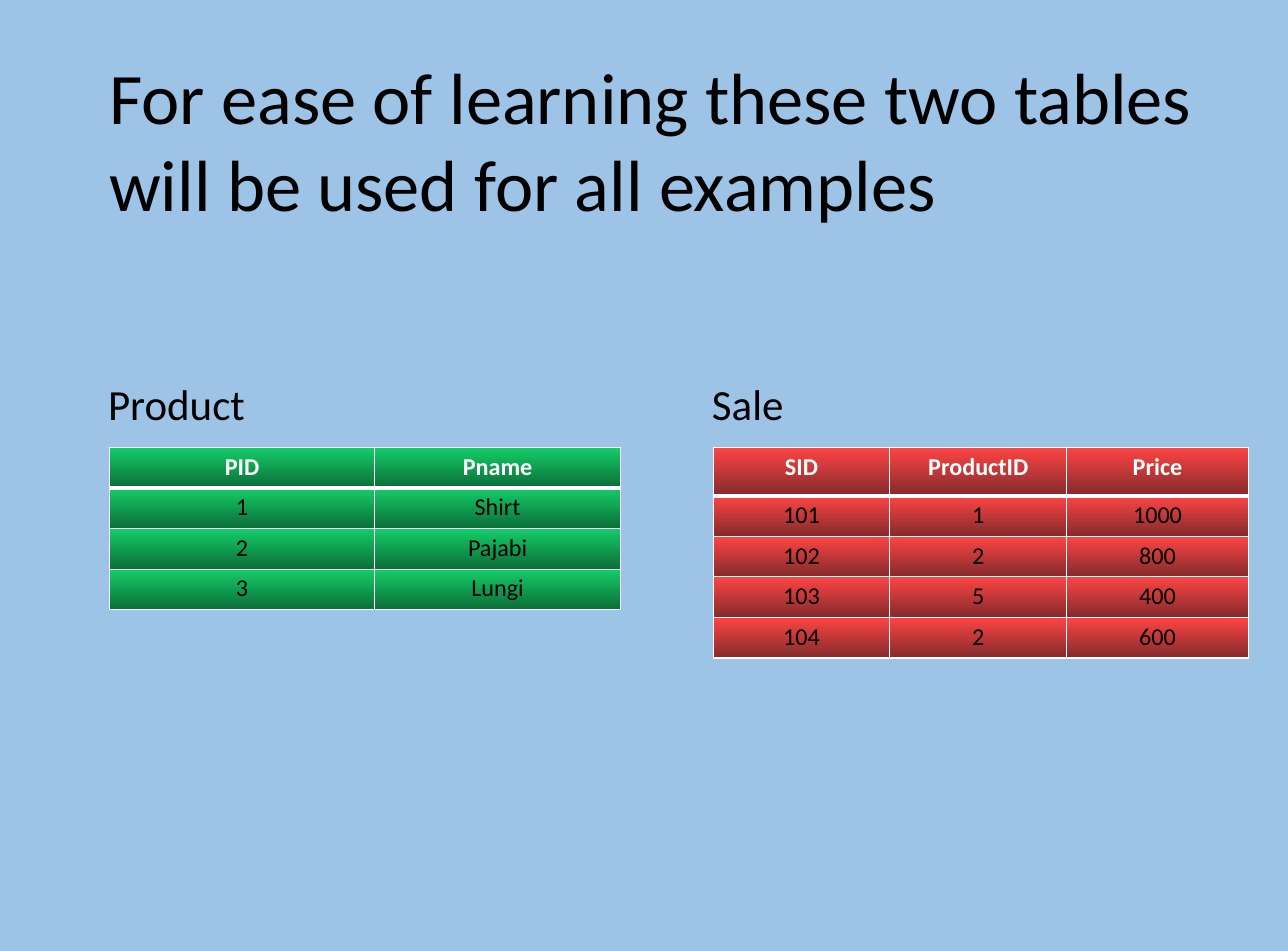
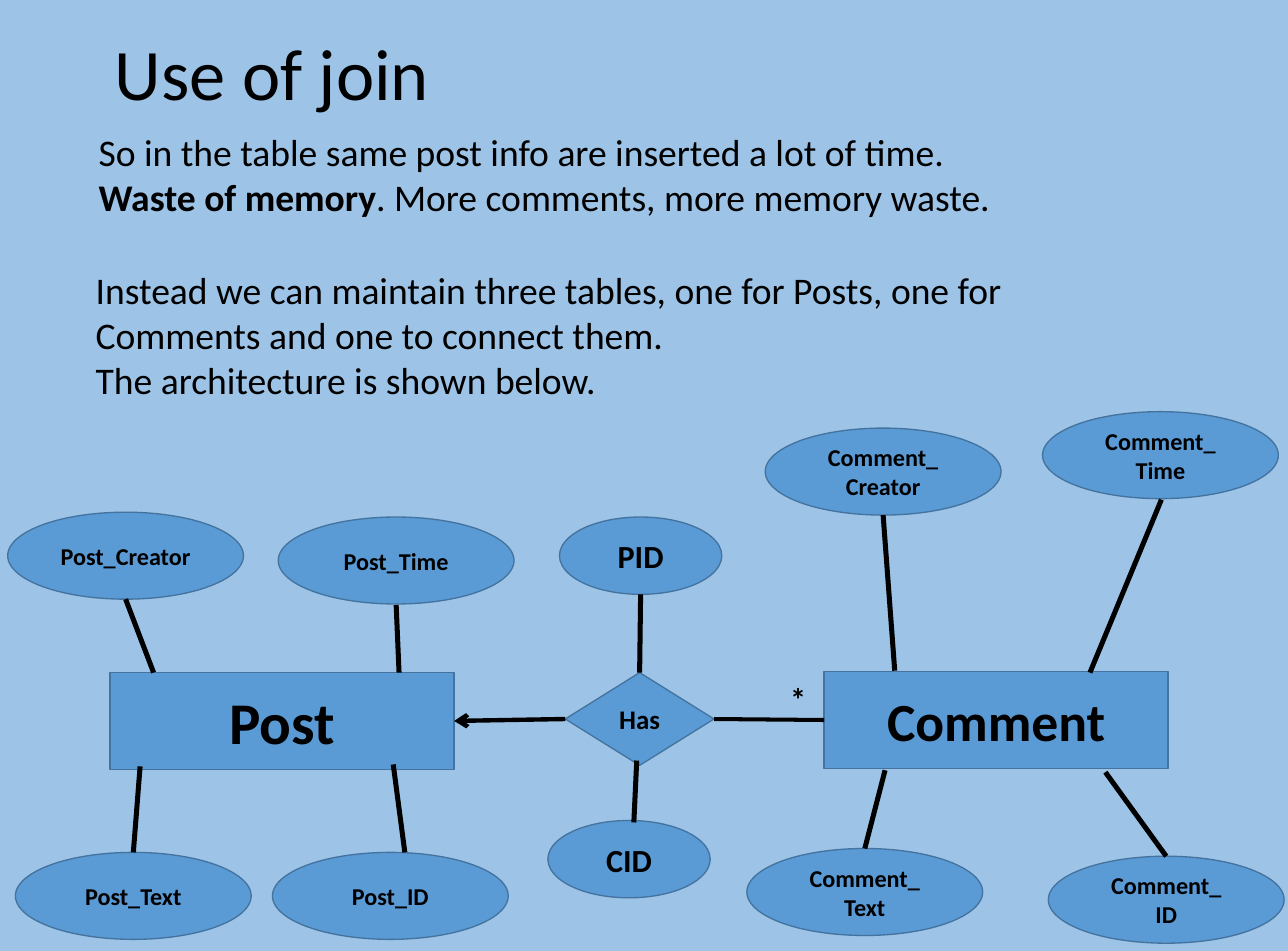
from dataclasses import dataclass
from typing import Optional

from lxml import etree
from pptx import Presentation
from pptx import util as u
from pptx.dml import color as dml
from pptx.enum import shapes, text
from pptx.oxml import ns

EMU_PER_PX = 9144
FONT = "Calibri"
BACKGROUND, BLACK, WHITE = "9DC3E6", "000000", "FFFFFF"
NODE_FILL, NODE_LINE = "5B9BD5", "43739E"
TITLE_SIZE = 54
LEFT, CENTER = text.PP_ALIGN.LEFT, text.PP_ALIGN.CENTER
RECTANGLE = shapes.MSO_SHAPE.RECTANGLE
DIAMOND = shapes.MSO_SHAPE.DIAMOND
OVAL = shapes.MSO_SHAPE.OVAL
TOP, LEFT_SIDE, RIGHT_SIDE = 0, 1, 3


@dataclass(frozen=True)
class Box:
    left: int
    top: int
    width: int
    height: int


@dataclass(frozen=True)
class Line:
    text: str
    bold_lead: str = ""


@dataclass(frozen=True)
class DataTable:
    name: str
    name_box: Box
    left: int
    columns: tuple[int, ...]
    header_height: int
    gradient: tuple[str, str]
    rows: tuple[tuple[str, ...], ...]


@dataclass(frozen=True)
class Node:
    label: str
    box: Box
    size: int = 18
    kind: shapes.MSO_SHAPE = OVAL


@dataclass(frozen=True)
class Link:
    start: tuple[int, int]
    end: tuple[int, int]
    width: float = 3.75
    arrow: bool = False
    start_joint: Optional[tuple[str, int]] = None
    end_joint: Optional[tuple[str, int]] = None


TABLE_TOP, ROW_HEIGHT = 463, 42
TABLES = (
    DataTable("Product", Box(102, 386, 348, 64), 113, (275, 254), 42, ("14CD68", "0B6E38"),
              (("PID", "Pname"), ("1", "Shirt"), ("2", "Pajabi"), ("3", "Lungi"))),
    DataTable("Sale", Box(727, 386, 408, 64), 738, (183, 183, 188), 50, ("FE4444", "832B2B"),
              (("SID", "ProductID", "Price"), ("101", "1", "1000"), ("102", "2", "800"),
               ("103", "5", "400"), ("104", "2", "600"))),
)

BODIES = (
    (Box(92, 128, 1161, 104), (
        Line("So in the table same post info are inserted a lot of time."),
        Line(". More comments, more memory waste.", "Waste of memory"))),
    (Box(89, 271, 1123, 150), (
        Line("Instead we can maintain three tables, one for Posts, one for Comments "
             "and one to connect them."),
        Line("The architecture is shown below."))),
)


def attribute(label: str, left: int, top: int) -> Node:
    return Node(label, Box(left, top, 244, 90))


def key(label: str, left: int, top: int) -> Node:
    return Node(label, Box(left, top, 168, 80), 24)


def entity(label: str, left: int, top: int, size: int) -> Node:
    return Node(label, Box(left, top, 356, 100), size, RECTANGLE)


NODES = (
    entity("Post", 114, 696, 44),
    entity("Comment", 853, 695, 40),
    Node("Has", Box(585, 696, 154, 96), 20, DIAMOND),
    key("PID", 579, 535),
    key("CID", 567, 849),
    attribute("Post_Creator", 8, 530),
    attribute("Post_Time", 288, 535),
    attribute("Post_Text", 16, 882),
    attribute("Post_ID", 282, 882),
    attribute("Comment_\nCreator", 792, 443),
    attribute("Comment_\nTime", 1079, 426),
    attribute("Comment_\nText", 773, 878),
    attribute("Comment_\nID", 1085, 886),
)

LINKS = (
    Link((159, 696), (130, 620)),
    Link((413, 696), (410, 626)),
    Link((138, 882), (145, 793), start_joint=("Post_Text", TOP)),
    Link((419, 882), (407, 791)),
    Link((662, 696), (663, 615), start_joint=("Has", TOP)),
    Link((656, 851), (659, 787)),
    Link((926, 694), (914, 533)),
    Link((1128, 696), (1202, 517)),
    Link((1208, 886), (1144, 799), start_joint=("Comment_\nID", TOP)),
    Link((895, 878), (916, 797), start_joint=("Comment_\nText", TOP)),
    Link((585, 744), (470, 746), 3.25, True, ("Has", LEFT_SIDE), ("Post", RIGHT_SIDE)),
    Link((739, 744), (853, 745), 3, False, ("Has", RIGHT_SIDE), ("Comment", LEFT_SIDE)),
)


def px(length: int) -> u.Emu:
    return u.Emu(length * EMU_PER_PX)


def rgb(value: str) -> dml.RGBColor:
    return dml.RGBColor.from_string(value)


def edges(box: Box) -> tuple[u.Emu, ...]:
    return px(box.left), px(box.top), px(box.width), px(box.height)


def place(shape, box: Box) -> None:
    shape.left, shape.top, shape.width, shape.height = edges(box)


def format_paragraph(paragraph, size: int, align=LEFT, bold: bool = False,
                     color: str = BLACK) -> None:
    paragraph.alignment = align
    font = paragraph.font
    font.name, font.size, font.bold = FONT, u.Pt(size), bold
    font.color.rgb = rgb(color)


def set_title(slide, title: str, box: Box, align=LEFT) -> None:
    shape = slide.shapes.title
    place(shape, box)
    frame = shape.text_frame
    frame.text = title
    frame.word_wrap = True
    frame.auto_size = text.MSO_AUTO_SIZE.NONE
    frame.vertical_anchor = text.MSO_ANCHOR.TOP
    format_paragraph(frame.paragraphs[0], TITLE_SIZE, align)


def set_body(shape, box: Box, lines: tuple[Line, ...]) -> None:
    place(shape, box)
    frame = shape.text_frame
    frame.auto_size = text.MSO_AUTO_SIZE.NONE
    for index, line in enumerate(lines):
        paragraph = frame.add_paragraph() if index else frame.paragraphs[0]
        properties = paragraph._p.get_or_add_pPr()
        properties.set("marL", "0")
        properties.set("indent", "0")
        etree.SubElement(properties, ns.qn("a:buNone"))
        paragraph.space_before = u.Pt(0)
        format_paragraph(paragraph, 28)
        if line.bold_lead:
            lead = paragraph.add_run()
            lead.text = line.bold_lead
            lead.font.bold = True
        paragraph.add_run().text = line.text


def add_label(slide, label: str, box: Box, size: int, align=LEFT, bold: bool = False,
              wrap: bool = True) -> None:
    frame = slide.shapes.add_textbox(*edges(box)).text_frame
    frame.word_wrap = wrap
    frame.text = label
    format_paragraph(frame.paragraphs[0], size, align, bold)


def set_borders(cell, row: int) -> None:
    properties = cell._tc.get_or_add_tcPr()
    widths = {"lnL": 1, "lnR": 1, "lnT": 3 if row == 1 else 1, "lnB": 3 if row == 0 else 1}
    for position, (tag, width) in enumerate(widths.items()):
        border = etree.Element(ns.qn(f"a:{tag}"), w=str(u.Pt(width)))
        fill = etree.SubElement(border, ns.qn("a:solidFill"))
        etree.SubElement(fill, ns.qn("a:srgbClr"), val=WHITE)
        properties.insert(position, border)


def add_data_table(slide, data: DataTable) -> None:
    heights = [data.header_height] + [ROW_HEIGHT] * (len(data.rows) - 1)
    box = Box(data.left, TABLE_TOP, sum(data.columns), sum(heights))
    table = slide.shapes.add_table(len(data.rows), len(data.columns), *edges(box)).table
    table.first_row = table.horz_banding = False
    for column, width in zip(table.columns, data.columns):
        column.width = px(width)
    for row, (height, values) in enumerate(zip(heights, data.rows)):
        table.rows[row].height = px(height)
        for column, value in enumerate(values):
            cell = table.cell(row, column)
            cell.text = value
            format_paragraph(cell.text_frame.paragraphs[0], 18, CENTER, row == 0,
                             BLACK if row else WHITE)
            cell.fill.gradient()
            cell.fill.gradient_angle = 270
            for stop, color in zip(cell.fill.gradient_stops, data.gradient):
                stop.color.rgb = rgb(color)
            set_borders(cell, row)
    add_label(slide, data.name, data.name_box, 32)


def add_node(slide, node: Node):
    shape = slide.shapes.add_shape(node.kind, *edges(node.box))
    shape.shadow.inherit = False
    shape.fill.solid()
    shape.fill.fore_color.rgb = rgb(NODE_FILL)
    shape.line.color.rgb = rgb(NODE_LINE)
    shape.line.width = u.Pt(1)
    frame = shape.text_frame
    frame.word_wrap = True
    frame.vertical_anchor = text.MSO_ANCHOR.MIDDLE
    frame.text = node.label
    for paragraph in frame.paragraphs:
        format_paragraph(paragraph, node.size, CENTER, True)
    return shape


def add_link(slide, link: Link, nodes: dict) -> None:
    connector = slide.shapes.add_connector(
        shapes.MSO_CONNECTOR.STRAIGHT, *map(px, link.start + link.end))
    if link.start_joint:
        label, side = link.start_joint
        connector.begin_connect(nodes[label], side)
    if link.end_joint:
        label, side = link.end_joint
        connector.end_connect(nodes[label], side)
    connector.line.color.rgb = rgb(BLACK)
    connector.line.width = u.Pt(link.width)
    if link.arrow:
        etree.SubElement(connector.line._get_or_add_ln(), ns.qn("a:tailEnd"), type="arrow")
    etree.SubElement(connector._element.spPr, ns.qn("a:effectLst"))


def build_tables_slide(presentation) -> None:
    slide = presentation.slides.add_slide(presentation.slide_layouts.get_by_name("Title Only"))
    set_title(slide, "For ease of learning these two tables will be used for all examples",
              Box(103, 49, 1143, 281))
    for data in TABLES:
        add_data_table(slide, data)


def build_join_slide(presentation) -> None:
    slide = presentation.slides.add_slide(presentation.slide_layouts.get_by_name("Two Content"))
    set_title(slide, "Use of join", Box(92, 24, 379, 101), CENTER)
    for index, (box, lines) in enumerate(BODIES, start=1):
        set_body(slide.placeholders[index], box, lines)
    nodes = {node.label: add_node(slide, node) for node in NODES}
    for link in LINKS:
        add_link(slide, link, nodes)
    add_label(slide, "*", Box(807, 698, 38, 50), 24, CENTER, True, wrap=False)


def main() -> None:
    presentation = Presentation()
    presentation.slide_width, presentation.slide_height = px(1333), px(984)
    background = presentation.slide_master.background.fill
    background.solid()
    background.fore_color.rgb = rgb(BACKGROUND)
    build_tables_slide(presentation)
    build_join_slide(presentation)
    presentation.save("out.pptx")


if __name__ == "__main__":
    main()
